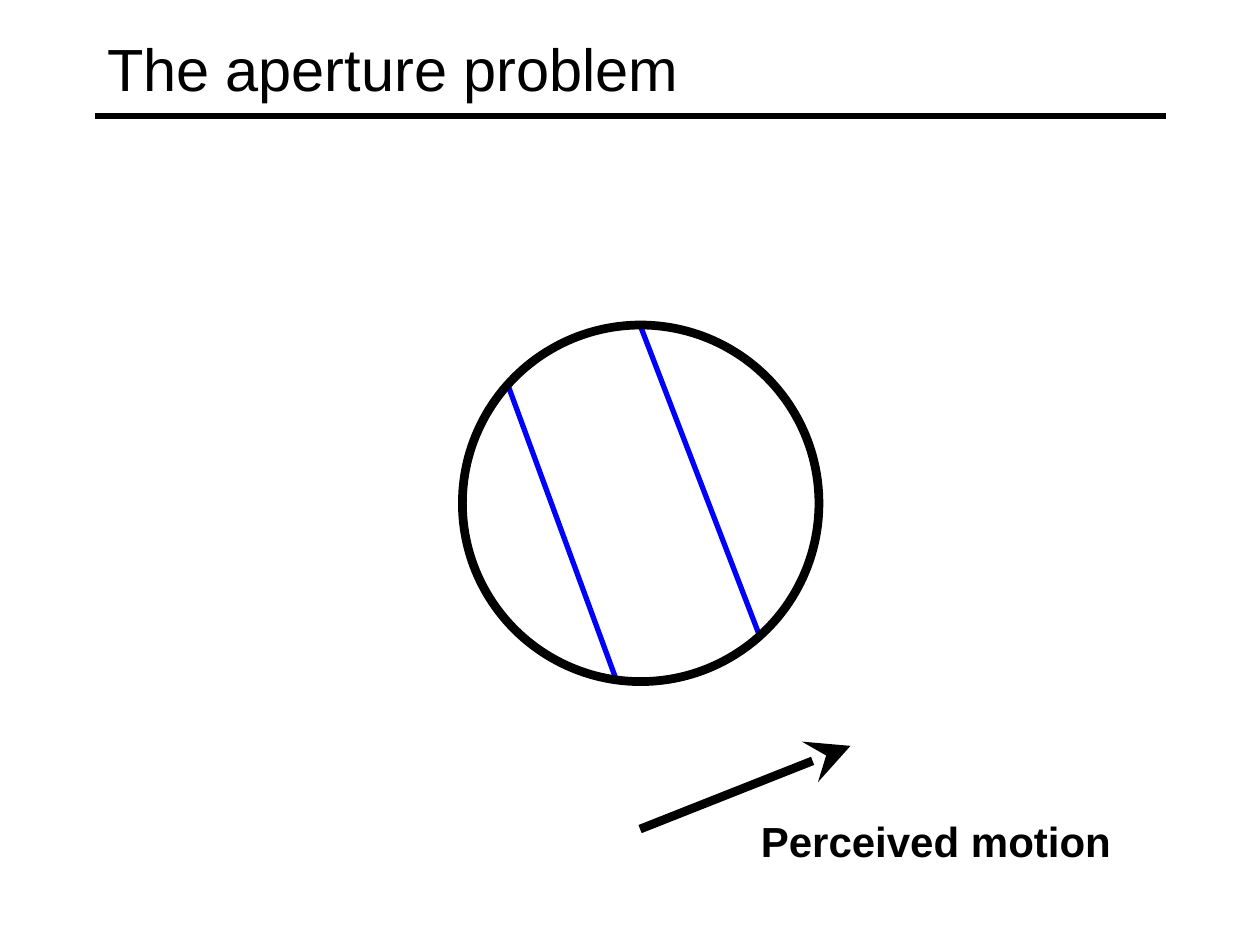
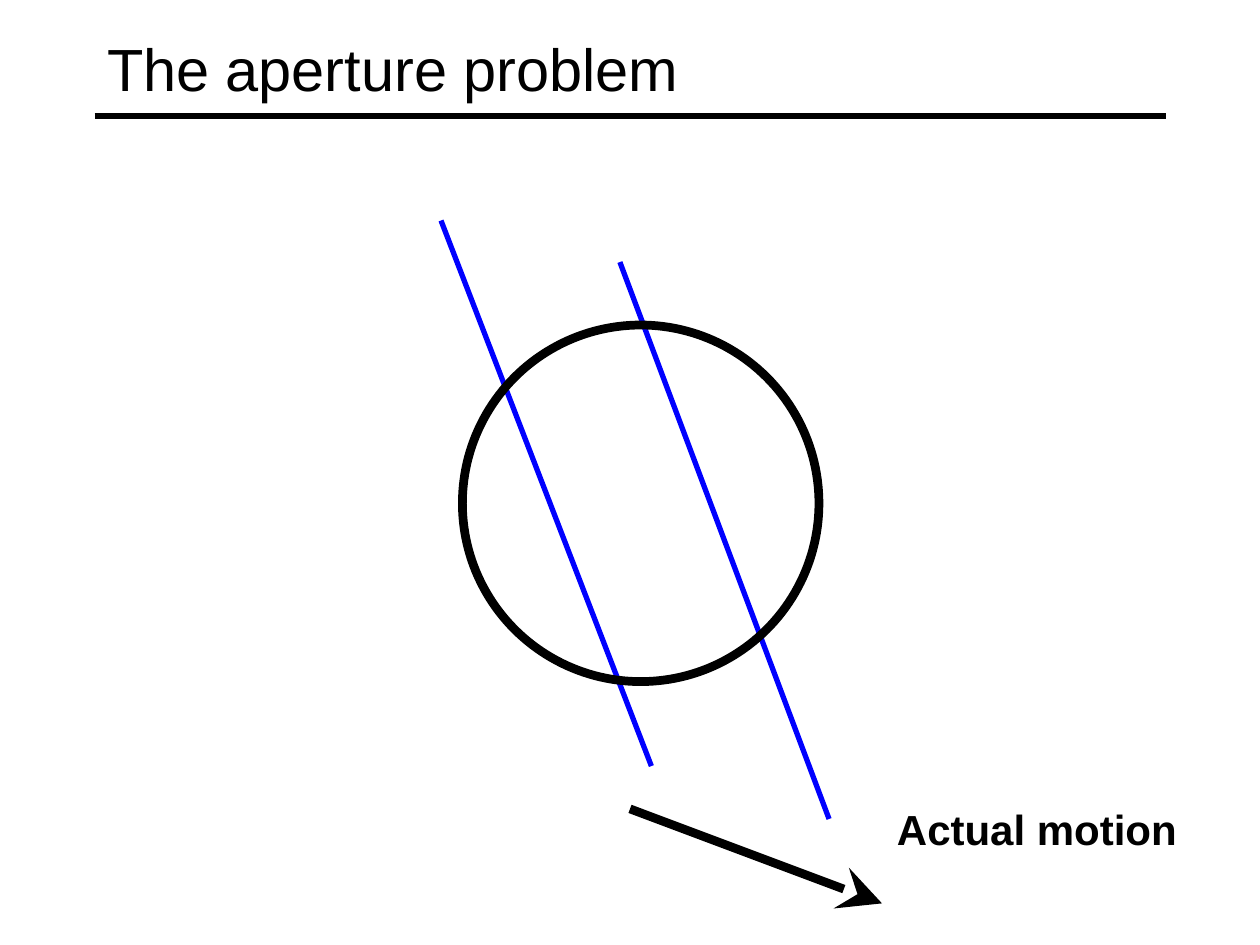
from pptx import Presentation
from pptx.dml.color import RGBColor
from pptx.enum import shapes, text
from pptx.oxml import ns
from pptx.util import Inches, Pt
from lxml import etree

BLACK, BLUE = "000000", "0000FF"
FONT = "Arial"
TITLE = "The aperture problem"

SCENES = [
    dict(bars=[(4.04, 3.08, 4.9, 5.42), (5.08, 2.58, 6.03, 5.05)],
         arrow=(5.08, 6.58, 6.75, 5.92),
         label="Perceived motion", box=(5.94, 6.42, 2.98, 0.5)),
    dict(bars=[(3.5, 1.75, 5.17, 6.08), (4.92, 2.08, 6.58, 6.5)],
         arrow=(5, 6.42, 7, 7.17),
         label="Actual motion", box=(7.02, 6.33, 2.42, 0.5)),
]


def color(code):
    """Turn a hex string into a colour."""
    return RGBColor.from_string(code)


def style(frame, size, bold=False):
    """Set the font of every run in a text frame."""
    for para in frame.paragraphs:
        para.alignment = text.PP_ALIGN.LEFT
        for run in para.runs:
            run.font.name = FONT
            run.font.size = Pt(size)
            run.font.bold = bold
            run.font.color.rgb = color(BLACK)


def add_line(slide, ends, code, width):
    """Draw a straight line without shadow."""
    line = slide.shapes.add_connector(
        shapes.MSO_CONNECTOR.STRAIGHT, *map(Inches, ends))
    line.line.color.rgb = color(code)
    line.line.width = Pt(width)
    etree.SubElement(line._element.spPr, ns.qn("a:effectLst"))
    return line


def add_arrow(slide, ends):
    """Draw a thick line with a large stealth head."""
    line = add_line(slide, ends, BLACK, 5).line
    etree.SubElement(line._get_or_add_ln(), ns.qn("a:tailEnd"),
                     type="stealth", w="lg", len="lg")


def add_title(slide):
    """Fill the title and draw the rule below it."""
    add_line(slide, (0.75, 0.92, 9.25, 0.92), BLACK, 3)
    title = slide.shapes.title
    title.left, title.top = Inches(0.75), Inches(0.08)
    title.width, title.height = Inches(8.5), Inches(0.92)
    frame = title.text_frame
    frame.text = TITLE
    frame.vertical_anchor = text.MSO_ANCHOR.MIDDLE
    style(frame, 34)


def add_ring(slide):
    """Draw the round aperture as an outline."""
    ring = slide.shapes.add_shape(
        shapes.MSO_SHAPE.OVAL, *map(Inches, (3.67, 2.58, 2.83, 2.83)))
    ring.shadow.inherit = False
    ring.fill.background()
    ring.line.color.rgb = color(BLACK)
    ring.line.width = Pt(5)


def add_label(slide, words, box):
    """Write the bold name of the motion."""
    frame = slide.shapes.add_textbox(*map(Inches, box)).text_frame
    frame.text = words
    frame.word_wrap = False
    frame.auto_size = text.MSO_AUTO_SIZE.SHAPE_TO_FIT_TEXT
    style(frame, 24, True)


def add_scene(deck, bars, arrow, label, box):
    """Build one slide: bars behind the aperture and their motion."""
    slide = deck.slides.add_slide(deck.slide_layouts[5])
    add_title(slide)
    for bar in bars:
        add_line(slide, bar, BLUE, 3)
    add_ring(slide)
    add_arrow(slide, arrow)
    add_label(slide, label, box)


def main():
    """Build and save the deck."""
    deck = Presentation()
    deck.slide_width, deck.slide_height = Inches(10), Inches(7.5)
    for scene in SCENES:
        add_scene(deck, **scene)
    deck.save("out.pptx")


if __name__ == "__main__":
    main()
